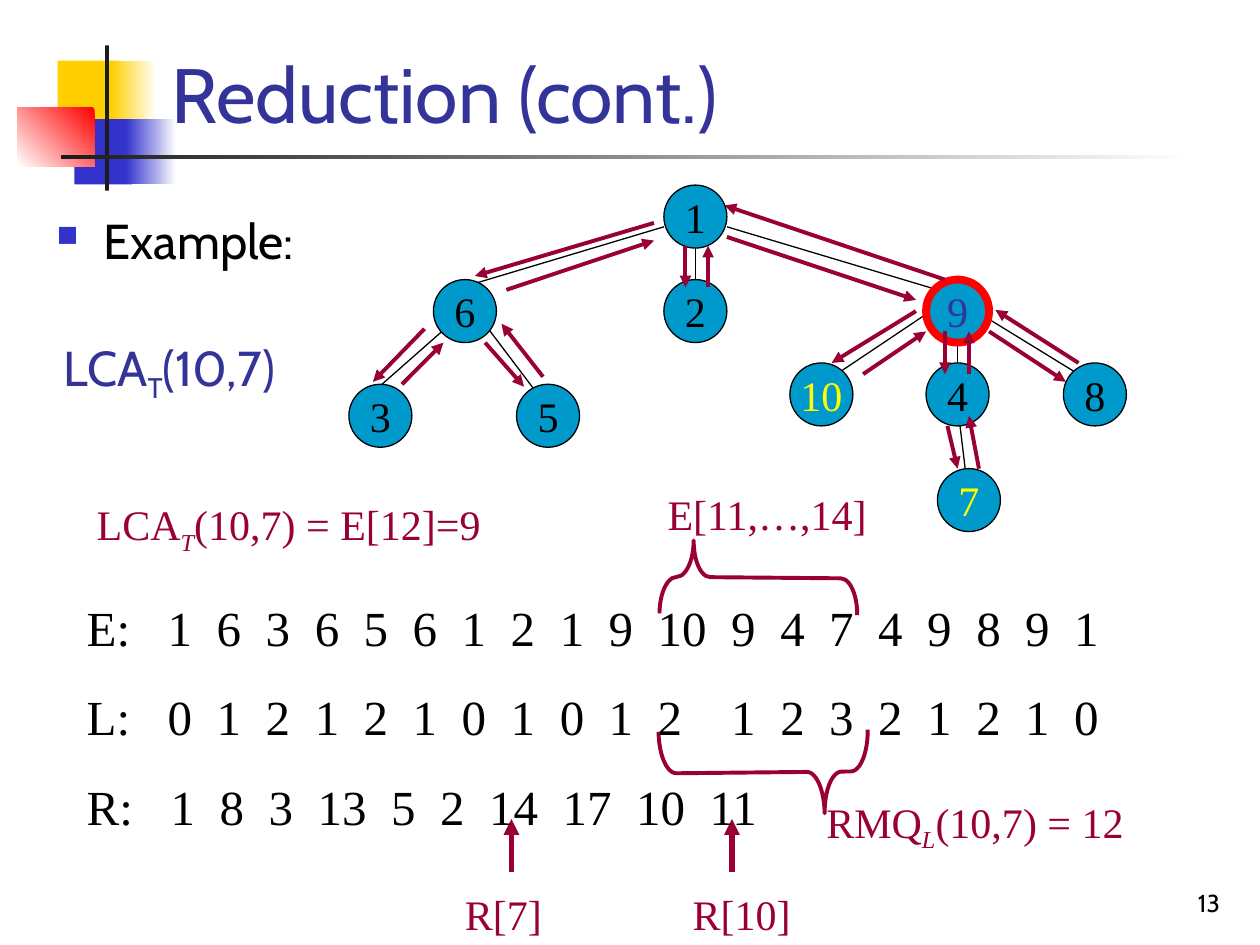
"""Build the slide that reduces lowest common ancestor to range minimum query."""
import dataclasses

import lxml.etree
import pptx
import pptx.dml.color
import pptx.enum.shapes
import pptx.enum.text
import pptx.oxml.ns
import pptx.util

Pt = pptx.util.Pt
ALIGN = pptx.enum.text.PP_ALIGN
ANCHOR = pptx.enum.text.MSO_ANCHOR
SHAPE = pptx.enum.shapes.MSO_SHAPE


@dataclasses.dataclass(frozen=True)
class Theme:
    sans: str = "Cabin"
    serif: str = "Times New Roman"
    title_size: int = 44
    body_size: int = 28
    label_size: int = 24
    number_size: int = 14
    black: str = "000000"
    white: str = "FFFFFF"
    charcoal: str = "1C1C1C"
    navy: str = "333399"
    blue: str = "3333CC"
    gold: str = "FFCF01"
    red: str = "FF0000"
    node: str = "0099CC"
    query: str = "FFFF00"
    tour: str = "990033"


def rgb(color):
    return pptx.dml.color.RGBColor.from_string(color)


def add_element(parent, tag, **attributes):
    return lxml.etree.SubElement(parent, pptx.oxml.ns.qn(tag), attributes)


class SlideBuilder:
    def __init__(self, slide, theme):
        self.slide = slide
        self.theme = theme

    def block(self, left, top, width, height, color, fade_to=None, angle=0):
        shape = self.slide.shapes.add_shape(
            SHAPE.RECTANGLE, Pt(left), Pt(top), Pt(width), Pt(height))
        shape.shadow.inherit = False
        shape.line.fill.background()
        if fade_to is None:
            shape.fill.solid()
            shape.fill.fore_color.rgb = rgb(color)
            return
        shape.fill.gradient()
        shape.fill.gradient_angle = angle
        for stop, stop_color in zip(shape.fill.gradient_stops, (color, fade_to)):
            stop.color.rgb = rgb(stop_color)

    def line(self, start_x, start_y, end_x, end_y, color, width, arrow=False):
        connector = self.slide.shapes.add_connector(
            pptx.enum.shapes.MSO_CONNECTOR.STRAIGHT,
            Pt(start_x), Pt(start_y), Pt(end_x), Pt(end_y))
        connector.line.color.rgb = rgb(color)
        connector.line.width = Pt(width)
        if arrow:
            add_element(connector.line._get_or_add_ln(), "a:tailEnd", type="triangle")
        add_element(connector._element.spPr, "a:effectLst")

    def node(self, label, center_x, center_y, color, outline, outline_width):
        radius = 18
        shape = self.slide.shapes.add_shape(
            SHAPE.OVAL, Pt(center_x - radius), Pt(center_y - radius),
            Pt(2 * radius), Pt(2 * radius))
        shape.shadow.inherit = False
        shape.fill.solid()
        shape.fill.fore_color.rgb = rgb(self.theme.node)
        shape.line.color.rgb = rgb(outline)
        shape.line.width = Pt(outline_width)
        frame = shape.text_frame
        frame.word_wrap = False
        frame.vertical_anchor = ANCHOR.MIDDLE
        frame.text = label
        frame.paragraphs[0].alignment = ALIGN.CENTER
        self.style(frame.paragraphs[0], self.theme.serif, self.theme.label_size, color)

    def brace(self, left, top, width, height, rotation, bend, tip):
        shape = self.slide.shapes.add_shape(
            SHAPE.LEFT_BRACE, Pt(left), Pt(top), Pt(width), Pt(height))
        shape.shadow.inherit = False
        shape.adjustments[0] = bend
        shape.adjustments[1] = tip
        shape.rotation = rotation
        shape.fill.background()
        shape.line.color.rgb = rgb(self.theme.tour)
        shape.line.width = Pt(2.25)

    def style(self, paragraph, font, size, color):
        for run in paragraph.runs:
            run.font.name = font
            run.font.size = Pt(size)
            run.font.color.rgb = rgb(color)

    def text(self, left, top, width, height, content, font, size, color,
             align=ALIGN.LEFT, anchor=ANCHOR.TOP, wrap=True):
        box = self.slide.shapes.add_textbox(Pt(left), Pt(top), Pt(width), Pt(height))
        frame = box.text_frame
        frame.word_wrap = wrap
        frame.vertical_anchor = anchor
        frame.text = content
        for paragraph in frame.paragraphs:
            paragraph.alignment = align
            self.style(paragraph, font, size, color)
        return frame

    def subscripted(self, left, top, width, height, parts, font, size, color,
                    italic=False, wrap=True):
        frame = self.text(left, top, width, height, "", font, size, color, wrap=wrap)
        paragraph = frame.paragraphs[0]
        for part in parts:
            paragraph.add_run().text = part
        self.style(paragraph, font, size, color)
        subscript = paragraph.runs[1].font
        subscript.italic = italic
        subscript._element.set("baseline", "-25000")

    def bullet(self, left, top, width, height, content):
        theme = self.theme
        frame = self.text(left, top, width, height, content, theme.sans,
                          theme.body_size, theme.black)
        properties = frame.paragraphs[0]._p.get_or_add_pPr()
        properties.set("marL", str(Pt(27)))
        properties.set("indent", str(Pt(-27)))
        color = add_element(properties, "a:buClr")
        add_element(color, "a:srgbClr", val=theme.blue)
        add_element(properties, "a:buSzPct", val="60000")
        add_element(properties, "a:buChar", char="■")

    def sequences(self, left, top, width, height, rows):
        theme = self.theme
        content = "\n".join("\t".join([name, *values.split()]) for name, values, _ in rows)
        frame = self.text(left, top, width, height, content, theme.serif,
                          theme.body_size, theme.black)
        digit = theme.body_size / 2
        for index, (paragraph, row) in enumerate(zip(frame.paragraphs, rows)):
            if index:
                paragraph.space_before = Pt(17.5)
            position = 48 if row[0] == "R:" else 46.3
            tabs = add_element(paragraph._p.get_or_add_pPr(), "a:tabLst")
            for value in row[2].split():
                add_element(tabs, "a:tab", pos=str(Pt(position)), algn="l")
                position += digit * (len(value) + 1)


def main():
    presentation = pptx.Presentation()
    presentation.slide_width = Pt(720)
    presentation.slide_height = Pt(540)
    theme = Theme()
    builder = SlideBuilder(
        presentation.slides.add_slide(presentation.slide_layouts[6]), theme)

    builder.block(33, 34.7, 34.5, 37.4, theme.gold)
    builder.block(63.5, 34.7, 26, 37.4, theme.gold, theme.white)
    builder.block(42.5, 68, 33, 37.4, theme.blue)
    builder.block(72, 68, 28.8, 37.4, theme.blue, theme.white)
    builder.block(10, 61.7, 44, 33.3, theme.red, theme.white, 225)
    builder.block(60, 26, 2.3, 83, theme.charcoal)
    builder.block(34.8, 88.5, 648, 2.3, theme.charcoal, theme.white)

    builder.text(554.4, 491.8, 149.8, 36, "13", theme.sans, theme.number_size,
                 theme.black, ALIGN.RIGHT, ANCHOR.BOTTOM)
    builder.text(90.7, 16.6, 613.4, 66.2, "Reduction (cont.)", theme.sans,
                 theme.title_size, theme.navy, anchor=ANCHOR.BOTTOM)
    builder.bullet(25.2, 116.6, 680.4, 51, "Example:")

    edges = [
        (547.2, 231.8, 555.1, 297.4), (547.2, 171.4, 547.2, 231.8),
        (397.4, 117.4, 397.4, 177.8), (415.4, 129.6, 535.7, 165.6),
        (379.4, 129.6, 259.2, 165.6), (265.7, 177.8, 211.7, 225.4),
        (271.4, 177.8, 307.4, 225.4), (541.4, 171.4, 469.4, 219.6),
        (547.2, 171.4, 625.7, 219.6)]
    for edge in edges:
        builder.line(*edge, theme.black, 0.75)

    nodes = [
        ("1", 397.4, 123.8), ("6", 265.7, 177.8), ("2", 397.4, 177.8),
        ("9", 547.2, 177.8), ("3", 217.4, 237.6), ("5", 313.2, 237.6),
        ("10", 469.4, 225.4), ("4", 547.2, 225.4), ("8", 625.7, 225.4),
        ("7", 553.7, 285.8)]
    text_colors = {"10": theme.query, "7": theme.query, "9": theme.navy}
    for label, center_x, center_y in nodes:
        outline = (theme.red, 4.5) if label == "9" else (theme.black, 0.75)
        builder.node(label, center_x, center_y,
                     text_colors.get(label, theme.black), *outline)

    tour_steps = [
        (373.7, 127.4, 271.4, 157.7), (242.6, 187.9, 213.1, 218.2),
        (229.7, 219.6, 253.4, 195.8), (277.2, 195.8, 299.5, 221),
        (310.3, 215.3, 286.6, 185), (289.4, 165.6, 373.7, 137.5),
        (391.7, 140.4, 391.7, 164.2), (404.6, 164.2, 404.6, 140.4),
        (415.4, 135.4, 523.4, 171.4), (523.4, 177.8, 475.2, 207.4),
        (493.2, 213.8, 529.2, 189.4), (540, 189.4, 540, 213.8),
        (541.4, 243.4, 547.2, 267.8), (559.4, 267.8, 553.7, 237.6),
        (553.7, 213.8, 553.7, 189.4), (565.2, 189.4, 609.1, 218.2),
        (616.3, 207.4, 568.8, 177.1), (540, 159.8, 414, 117.4)]
    for step in tour_steps:
        builder.line(*step, theme.tour, 2.25, arrow=True)

    builder.subscripted(29.5, 189.4, 149, 45.4, ("LCA", "T", "(10,7)"),
                        theme.sans, theme.body_size, theme.navy)
    label_style = (theme.serif, theme.label_size, theme.tour)
    builder.subscripted(48.2, 281.5, 254.9, 40.3, ("LCA", "T", "(10,7) = E[12]=9"),
                        *label_style, italic=True)
    builder.subscripted(465.1, 451.4, 184.3, 40.3, ("RMQ", "L", "(10,7) = 12"),
                        *label_style, italic=True, wrap=False)
    builder.text(374.4, 275.8, 144, 36, "E[11,…,14]", *label_style)
    for label, left, width, pointer_x in (
            ("R[10]", 388.1, 71.3, 418.3), ("R[7]", 257.8, 59.8, 292.3)):
        builder.line(pointer_x, 498.2, pointer_x, 468, theme.tour, 3, arrow=True)
        builder.text(left, 504, width, 36, label, *label_style, align=ALIGN.CENTER)

    builder.brace(412.6, 273.6, 41.8, 113, 90.5, 0.23, 0.83)
    builder.brace(412.6, 381.6, 47.5, 119.5, 269.4, 0.21, 0.79)

    tour = "1 6 3 6 5 6 1 2 1 9 10 9 4 7 4 9 8 9 1"
    levels = "0 1 2 1 2 1 0 1 0 1 2 1 2 3 2 1 2 1 0"
    first_visits = "1 8 3 13 5 2 14 17 10 11"
    builder.sequences(42.5, 337.7, 612, 143.3, [
        ("E:", tour, tour), ("L:", levels, tour), ("R:", first_visits, first_visits)])

    presentation.save("out.pptx")


if __name__ == "__main__":
    main()
